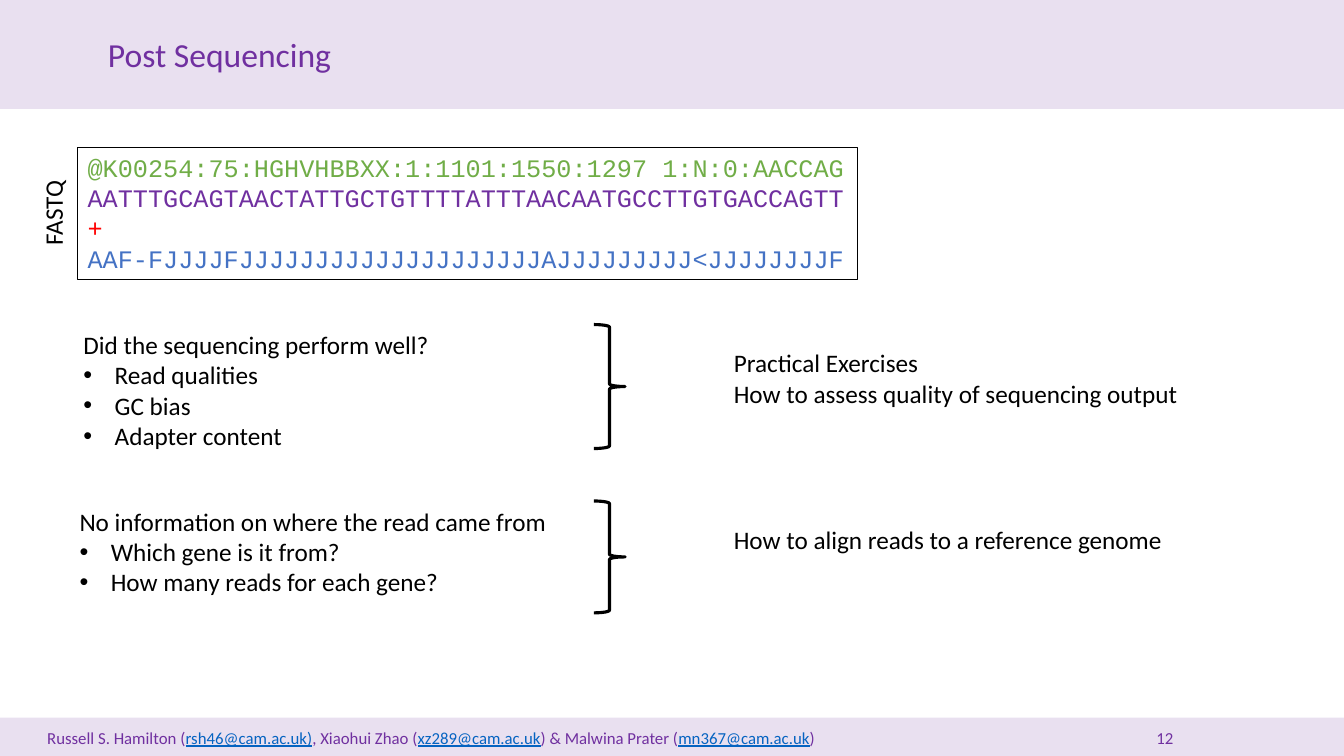
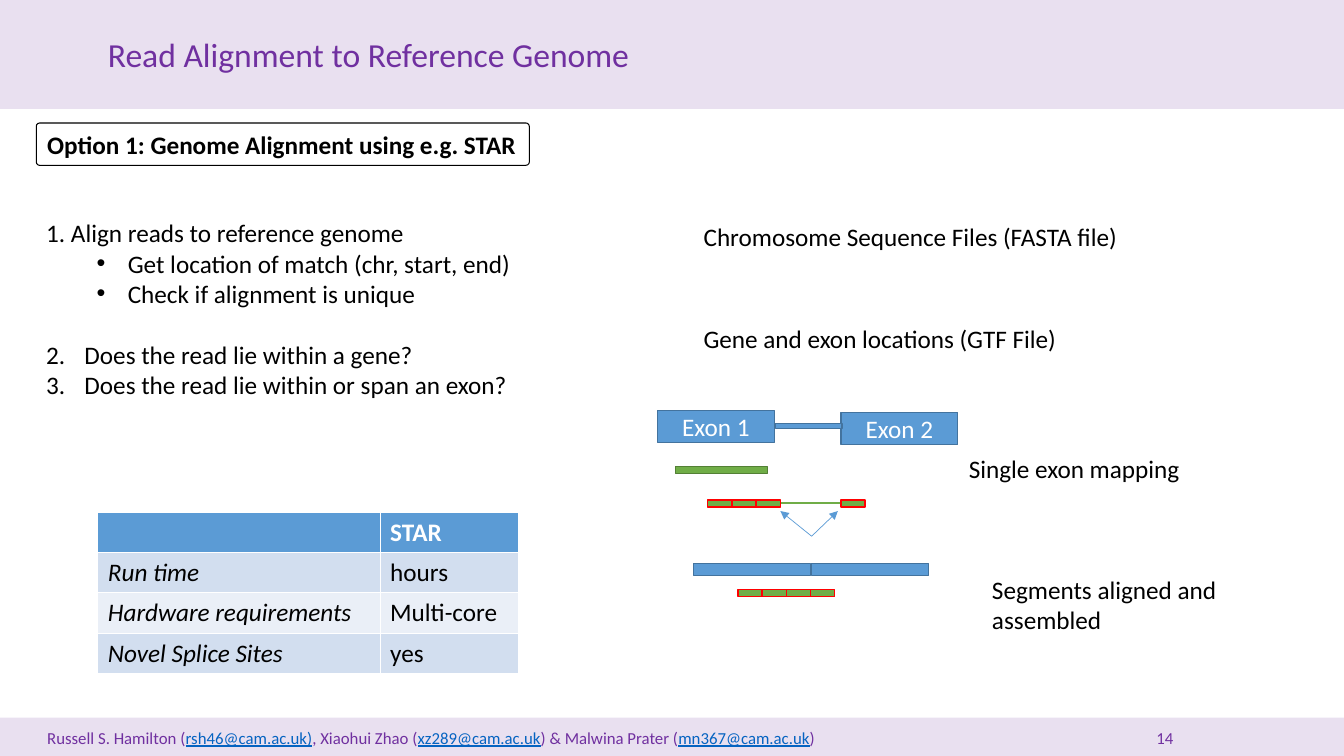
from dataclasses import dataclass

from lxml import etree
from pptx import Presentation
from pptx.dml.color import RGBColor
from pptx.enum.shapes import MSO_CONNECTOR, MSO_SHAPE
from pptx.enum.text import MSO_ANCHOR, MSO_AUTO_SIZE, PP_ALIGN
from pptx.oxml.ns import qn
from pptx.util import Inches, Pt

RECTANGLE = MSO_SHAPE.RECTANGLE
ROUNDED = MSO_SHAPE.ROUNDED_RECTANGLE
BRACE = MSO_SHAPE.RIGHT_BRACE
STRAIGHT = MSO_CONNECTOR.STRAIGHT
TOP, MIDDLE = MSO_ANCHOR.TOP, MSO_ANCHOR.MIDDLE
LEFT, CENTER = PP_ALIGN.LEFT, PP_ALIGN.CENTER
GROW, FIXED = MSO_AUTO_SIZE.SHAPE_TO_FIT_TEXT, MSO_AUTO_SIZE.NONE

BLACK = RGBColor(0x00, 0x00, 0x00)
WHITE = RGBColor(0xFF, 0xFF, 0xFF)
RED = RGBColor(0xFF, 0x00, 0x00)
PURPLE = RGBColor(0x70, 0x30, 0xA0)
LINK_BLUE = RGBColor(0x05, 0x63, 0xC1)
QUALITY_BLUE = RGBColor(0x44, 0x72, 0xC4)
BLUE = RGBColor(0x5B, 0x9B, 0xD5)
DARK_BLUE = RGBColor(0x43, 0x73, 0x9E)
GREEN = RGBColor(0x70, 0xAD, 0x47)
DARK_GREEN = RGBColor(0x53, 0x80, 0x35)
ROW_DARK = RGBColor(0xD2, 0xDE, 0xEF)
ROW_LIGHT = RGBColor(0xEA, 0xEF, 0xF7)

LINK = {"color": LINK_BLUE, "underline": True}
FOOTER = [
    ("Russell S. Hamilton (", {}),
    ("rsh46@cam.ac.uk)", LINK),
    (", Xiaohui Zhao (", {}),
    ("xz289@cam.ac.uk", LINK),
    (") & Malwina Prater (", {}),
    ("mn367@cam.ac.uk", LINK),
]
SEGMENT = 0.24


@dataclass
class Line:
    spans: list
    marker: str = ""
    left: float = 0
    hanging: float = 0
    before: float = 0
    tab: float = 0


def line(text, **values):
    return Line([(text, values)])


def bullet(text, left=0.31):
    return Line([(text, {})], "bullet", left, 0.31)


def numbered(text, before=0):
    return Line([(text, {})], "number", 0.38, 0.38, before)


class Style:
    text = {"name": "Calibri", "size": Pt(18), "color": BLACK}

    def __init__(self):
        self.deck = Presentation()
        self.deck.slide_width = Inches(13.33)
        self.deck.slide_height = Inches(7.5)
        self.page = None

    def new_page(self, title, number):
        self.page = self.deck.slides.add_slide(self.deck.slide_layouts[5])
        holder = self.page.shapes.title
        for top, height in ((0, 1.08), (7.12, 0.38)):
            band = self.shape(RECTANGLE, 0, top, 13.33, height, PURPLE)
            color = next(band.element.spPr.iter(qn("a:srgbClr")))
            etree.SubElement(color, qn("a:alpha"), val="15000")
            holder.element.addprevious(band.element)
        place = {"left": 0.97, "top": 0.29, "width": 11.4, "height": 0.5}
        for name, value in place.items():
            setattr(holder, name, Inches(value))
        self.set_text(holder, [line(title)], {"auto_size": FIXED}, size=Pt(24), color=PURPLE)
        footer = Line(FOOTER + [(f")\t{number}", {})], tab=11)
        self.label(0.37, 7.17, 12.36, 0.3, [footer], True, size=Pt(12), color=PURPLE)

    def format_font(self, font, values):
        for name, value in {**self.text, **values}.items():
            if name == "color":
                font.color.rgb = value
            else:
                setattr(font, name, value)

    def set_text(self, box, lines, frame_values, align=LEFT, **font_values):
        frame = box.text_frame
        defaults = {
            "margin_left": Inches(0.1),
            "margin_right": Inches(0.1),
            "margin_top": Inches(0.05),
            "margin_bottom": Inches(0.05),
            "vertical_anchor": TOP,
            "word_wrap": True,
        }
        for name, value in {**defaults, **frame_values}.items():
            setattr(frame, name, value)
        for index, item in enumerate(lines):
            para = frame.add_paragraph() if index else frame.paragraphs[0]
            para.alignment = align
            if item.before:
                para.space_before = Pt(item.before)
            self.mark(para, item)
            for text, values in item.spans:
                span = para.add_run()
                span.text = text
                self.format_font(span.font, {**font_values, **values})

    def mark(self, para, item):
        properties = para._p.get_or_add_pPr()
        if item.marker:
            properties.set("marL", str(Inches(item.left)))
            properties.set("indent", str(-Inches(item.hanging)))
        if item.marker == "bullet":
            etree.SubElement(properties, qn("a:buFont"), typeface="Arial")
            etree.SubElement(properties, qn("a:buChar"), char="•")
        elif item.marker == "number":
            etree.SubElement(properties, qn("a:buAutoNum"), type="arabicPeriod", startAt="2")
        if item.tab:
            tabs = etree.SubElement(properties, qn("a:tabLst"))
            etree.SubElement(tabs, qn("a:tab"), pos=str(Inches(item.tab)), algn="l")

    def label(self, left, top, width, height, lines, wrap=False, **font_values):
        box = self.page.shapes.add_textbox(
            Inches(left), Inches(top), Inches(width), Inches(height))
        self.set_text(box, lines, {"word_wrap": wrap, "auto_size": GROW}, **font_values)
        return box

    def shape(self, kind, left, top, width, height, fill=None, outline=None, weight=1):
        box = self.page.shapes.add_shape(
            kind, Inches(left), Inches(top), Inches(width), Inches(height))
        box.shadow.inherit = False
        if fill is None:
            box.fill.background()
        else:
            box.fill.solid()
            box.fill.fore_color.rgb = fill
        if outline is None:
            box.line.fill.background()
        else:
            box.line.color.rgb = outline
            box.line.width = Pt(weight)
        return box

    def connector(self, start, end, color, weight, arrow=False):
        link = self.page.shapes.add_connector(
            STRAIGHT, *(Inches(value) for value in (*start, *end)))
        link.line.color.rgb = color
        link.line.width = Pt(weight)
        properties = link.element.spPr
        if arrow:
            etree.SubElement(properties.find(qn("a:ln")), qn("a:tailEnd"), type="triangle")
        etree.SubElement(properties, qn("a:effectLst"))

    def segments(self, left, top, count):
        for index in range(count):
            self.shape(RECTANGLE, left + index * SEGMENT, top, SEGMENT, 0.07, GREEN, RED)

    def table(self, left, top, widths, row_height, rows):
        table = self.page.shapes.add_table(
            len(rows), len(widths), Inches(left), Inches(top),
            Inches(sum(widths)), Inches(row_height * len(rows))).table
        for column, width in zip(table.columns, widths):
            column.width = Inches(width)
        for row_index, row in enumerate(rows):
            header = row_index == 0
            fill = BLUE if header else (ROW_LIGHT, ROW_DARK)[row_index % 2]
            for column_index, text in enumerate(row):
                cell = table.cell(row_index, column_index)
                cell.fill.solid()
                cell.fill.fore_color.rgb = fill
                span = cell.text_frame.paragraphs[0].add_run()
                span.text = text
                self.format_font(span.font, {
                    "color": WHITE if header else BLACK,
                    "bold": header,
                    "italic": not header and column_index == 0,
                })


def post_sequencing(style):
    style.new_page("Post Sequencing", 12)
    record = style.shape(RECTANGLE, 0.77, 1.46, 7.74, 1.31, None, BLACK, 0.75)
    style.set_text(record, [
        line("@K00254:75:HGHVHBBXX:1:1101:1550:1297 1:N:0:AACCAG", color=GREEN),
        line("AATTTGCAGTAACTATTGCTGTTTTATTTAACAATGCCTTGTGACCAGTT", color=PURPLE),
        line("+", color=RED),
        line("AAF-FJJJJFJJJJJJJJJJJJJJJJJJJJAJJJJJJJJJ<JJJJJJJJF", color=QUALITY_BLUE),
    ], {"word_wrap": False, "auto_size": GROW}, name="Courier New")
    style.label(0.1, 1.91, 0.85, 0.4, [line("FASTQ")]).rotation = 270
    style.label(0.73, 3.22, 3.67, 1.31, [
        line("Did the sequencing perform well?"),
        bullet("Read qualities"),
        bullet("GC bias"),
        bullet("Adapter content"),
    ])
    style.label(0.69, 4.97, 4.89, 1.01, [
        line("No information on where the read came from"),
        bullet("Which gene is it from?"),
        bullet("How many reads for each gene?"),
    ])
    for top, height in ((3.22, 1.23), (4.97, 1.11)):
        style.shape(BRACE, 5.89, top, 0.31, height, None, BLACK, 2.25)
    style.label(7.18, 3.4, 4.66, 0.71, [
        line("Practical Exercises"),
        line("How to assess quality of sequencing output"),
    ])
    style.label(7.18, 5.15, 4.5, 0.4, [line("How to align reads to a reference genome")])


def read_alignment(style):
    style.new_page("Read Alignment to Reference Genome", 14)
    option = style.shape(ROUNDED, 0.36, 1.22, 4.89, 0.42, None, BLACK, 0.75)
    option.adjustments[0] = 0.08
    style.set_text(option, [line("Option 1: Genome Alignment using e.g. STAR")],
                   {"word_wrap": False, "auto_size": GROW}, bold=True)
    style.label(0.36, 2.11, 4.86, 1.92, [
        line("1. Align reads to reference genome"),
        bullet("Get location of match (chr, start, end)", 0.81),
        bullet("Check if alignment is unique", 0.81),
        numbered("Does the read lie within a gene?", 22),
        numbered("Does the read lie within or span an exon?"),
    ])
    style.label(6.88, 2.15, 4.35, 0.4, [line("Chromosome Sequence Files (FASTA file)")])
    style.label(6.88, 3.16, 3.74, 0.4, [line("Gene and exon locations (GTF File)")])
    style.table(0.97, 5.08, (2.8, 1.37), 0.4, [
        ("", "STAR"),
        ("Run time", "hours"),
        ("Hardware requirements", "Multi-core"),
        ("Novel Splice Sites", "yes"),
    ])
    for name, left, top in (("Exon 1", 6.52, 4.07), ("Exon 2", 8.34, 4.09)):
        exon = style.shape(RECTANGLE, left, top, 1.16, 0.32, BLUE, DARK_BLUE)
        style.set_text(exon, [line(name)], {"vertical_anchor": MIDDLE}, CENTER, color=WHITE)
    style.shape(RECTANGLE, 7.69, 4.2, 0.66, 0.05, BLUE, DARK_BLUE)
    style.shape(RECTANGLE, 6.7, 4.63, 0.91, 0.07, GREEN, DARK_GREEN)
    style.label(9.51, 4.45, 2.38, 0.4, [line("Single exon mapping")])
    style.connector((7.74, 4.99), (8.35, 4.99), GREEN, 1.5)
    style.segments(7.02, 4.96, 3)
    style.segments(8.34, 4.96, 1)
    for tip in (7.74, 8.31):
        style.connector((8.05, 5.32), (tip, 5.07), BLUE, 0.5, arrow=True)
    for left in (6.88, 8.05):
        style.shape(RECTANGLE, left, 5.59, 1.16, 0.12, BLUE, DARK_BLUE)
    style.segments(7.32, 5.85, 4)
    style.label(9.74, 5.65, 3.35, 0.71, [line("Segments aligned and assembled")], True)


def main():
    style = Style()
    post_sequencing(style)
    read_alignment(style)
    style.deck.save("out.pptx")


if __name__ == "__main__":
    main()
